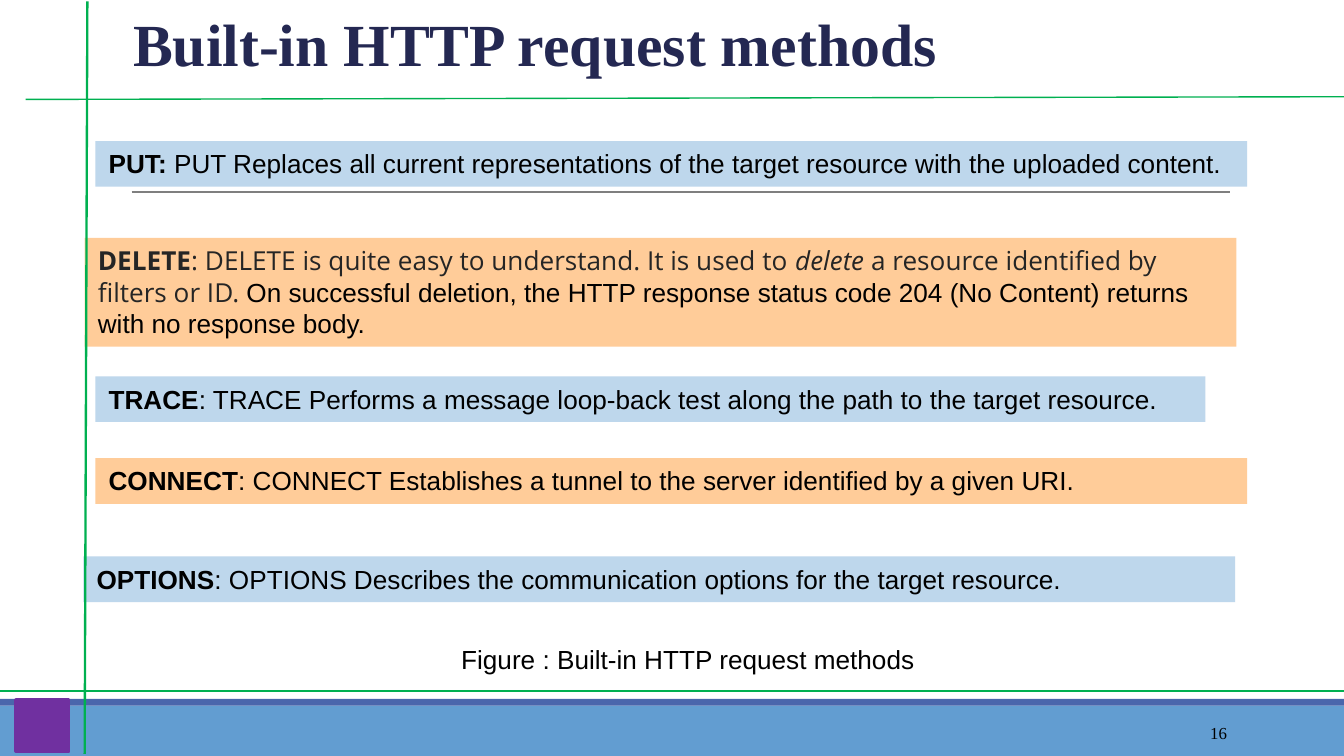
from dataclasses import dataclass

from lxml.etree import SubElement
from pptx import Presentation
from pptx.dml.color import RGBColor
from pptx.enum.shapes import MSO_CONNECTOR as Connector, MSO_SHAPE as Shape
from pptx.enum.text import MSO_ANCHOR as Anchor, MSO_AUTO_SIZE as AutoSize, PP_ALIGN as Align
from pptx.oxml.ns import qn
from pptx.util import Inches, Pt


@dataclass(frozen=True)
class Theme:
    navy: str = "242852"
    black: str = "000000"
    charcoal: str = "252525"
    blue: str = "BED7EC"
    orange: str = "FFCC99"
    green: str = "00B050"
    gray: str = "7F7F7F"
    purple: str = "7030A0"
    band: str = "629DD1"
    band_edge: str = "4A66AC"
    serif: str = "Times New Roman"
    sans: str = "Arial"
    humanist: str = "Open Sans"
    title_size: int = 32
    body_size: int = 14
    number_size: int = 9


@dataclass(frozen=True)
class Box:
    left: float
    top: float
    width: float
    height: float

    def inches(self):
        return [Inches(n) for n in (self.left, self.top, self.width, self.height)]

    def inner(self, dx, dy, width, height):
        return Box(self.left + dx, self.top + dy, width, height)


@dataclass(frozen=True)
class Span:
    text: str
    bold: bool = False
    italic: bool = False
    font: str = Theme.sans
    color: str = Theme.black


THEME = Theme()
SLIDE_WIDTH = 10
SLIDE_HEIGHT = SLIDE_WIDTH * 9 / 16


def method(name, description):
    return [Span(name, bold=True), Span(description)]


def delete_span(text, **emphasis):
    return Span(text, font=THEME.humanist, color=THEME.charcoal, **emphasis)


METHODS = [
    (Box(0.01, 0.72, 8.57, 0.81), THEME.orange, [
        delete_span("DELETE", bold=True),
        delete_span(": DELETE is quite easy to understand. It is used to "),
        delete_span("delete", italic=True),
        delete_span(" a resource identified by filters or ID. "),
        Span("On successful deletion, the HTTP response status code 204 (No Content) "
             "returns with no response body.")]),
    (Box(0.09, 0, 8.57, 0.34), THEME.blue, method(
        "PUT: ", "PUT Replaces all current representations of the target resource "
        "with the uploaded content.")),
    (Box(0.09, 1.75, 8.26, 0.34), THEME.blue, method(
        "TRACE", ": TRACE Performs a message loop-back test along the path "
        "to the target resource.")),
    (Box(0.09, 2.36, 8.57, 0.34), THEME.orange, method(
        "CONNECT", ": CONNECT Establishes a tunnel to the server identified by a given URI.")),
    (Box(0, 3.09, 8.57, 0.34), THEME.blue, method(
        "OPTIONS", ": OPTIONS Describes the communication options for the target resource.")),
]


def rgb(color):
    return RGBColor.from_string(color)


def style_font(font, name, size, color, bold=False, italic=False):
    font.name, font.size, font.bold, font.italic = name, Pt(size), bold, italic
    font.color.rgb = rgb(color)


def set_frame(frame, anchor, side, end):
    frame.word_wrap = True
    frame.auto_size = AutoSize.NONE
    frame.vertical_anchor = anchor
    frame.margin_left = frame.margin_right = Inches(side)
    frame.margin_top = frame.margin_bottom = Inches(end)


def add_block(slide, box, fill):
    block = slide.shapes.add_shape(Shape.RECTANGLE, *box.inches())
    block.shadow.inherit = False
    block.fill.solid()
    block.fill.fore_color.rgb = rgb(fill)
    block.line.fill.background()
    return block


def add_rule(slide, start, end, color, weight):
    points = [Inches(n) for n in (*start, *end)]
    rule = slide.shapes.add_connector(Connector.STRAIGHT, *points)
    rule.line.color.rgb = rgb(color)
    rule.line.width = Pt(weight)
    SubElement(rule._element.spPr, qn("a:effectLst"))


def add_label(slide, box, text, font, size, align, anchor, margins):
    frame = slide.shapes.add_textbox(*box.inches()).text_frame
    set_frame(frame, anchor, *margins)
    frame.text = text
    frame.paragraphs[0].alignment = align
    style_font(frame.paragraphs[0].runs[0].font, font, size, THEME.black)


def add_heading(slide, box):
    title = slide.shapes.title
    title.left, title.top, title.width, title.height = box.inches()
    frame = title.text_frame
    set_frame(frame, Anchor.BOTTOM, 0.07, 0.04)
    frame.text = "Built-in HTTP request methods"
    heading = frame.paragraphs[0]
    heading.alignment = Align.LEFT
    heading.line_spacing = 0.85
    style_font(heading.runs[0].font, THEME.serif, THEME.title_size, THEME.navy, bold=True)


def add_methods(slide, box):
    add_rule(slide, (box.left + 0.36, box.top + 0.38),
             (box.left + 8.53, box.top + 0.38), THEME.gray, 0.75)
    for place, fill, spans in METHODS:
        banner = add_block(
            slide, box.inner(place.left, place.top, place.width, place.height), fill)
        set_frame(banner.text_frame, Anchor.TOP, 0.1, 0.05)
        definition = banner.text_frame.paragraphs[0]
        definition.alignment = Align.LEFT
        for span in spans:
            run = definition.add_run()
            run.text = span.text
            style_font(run.font, span.font, THEME.body_size, span.color, span.bold, span.italic)


def add_footer(slide, box):
    add_block(slide, box.inner(0, 0.05, box.width, box.height - 0.05), THEME.band)
    add_block(slide, box.inner(0, 0, box.width, 0.05), THEME.band_edge)
    add_label(slide, box.inner(8.12, 0.1, 1.08, 0.3), "16", THEME.serif,
              THEME.number_size, Align.RIGHT, Anchor.MIDDLE, (0.07, 0.04))
    marker = add_block(slide, box.inner(0.12, 0.01, 0.39, 0.38), THEME.purple)
    marker.line.color.rgb = rgb(THEME.purple)
    marker.line.width = Pt(2)


def add_frame_rules(slide, box):
    right = box.left + box.width
    add_rule(slide, (box.left + 0.19, box.top + 0.74), (right, box.top + 0.72),
             THEME.green, 0.75)
    add_rule(slide, (box.left + 0.65, box.top + 0.01), (box.left + 0.63, box.top + 5.61),
             THEME.green, 1.25)
    add_rule(slide, (box.left, box.top + 5.14), (right, box.top + 5.14), THEME.green, 1.25)


def main():
    deck = Presentation()
    deck.slide_width, deck.slide_height = Inches(SLIDE_WIDTH), Inches(SLIDE_HEIGHT)
    slide = deck.slides.add_slide(deck.slide_layouts.get_by_name("Title Only"))
    add_footer(slide, Box(0, 5.2, SLIDE_WIDTH, SLIDE_HEIGHT - 5.2))
    add_heading(slide, Box(0.92, 0.12, 8.4, 0.51))
    add_methods(slide, Box(0.62, 1.05, 8.66, 3.43))
    add_label(slide, Box(0.84, 4.69, 8.56, 0.67), "Figure : Built-in HTTP request methods",
              THEME.sans, THEME.body_size, Align.CENTER, Anchor.TOP, (0.1, 0.1))
    add_frame_rules(slide, Box(0, 0, SLIDE_WIDTH, SLIDE_HEIGHT))
    deck.save("out.pptx")


if __name__ == "__main__":
    main()
